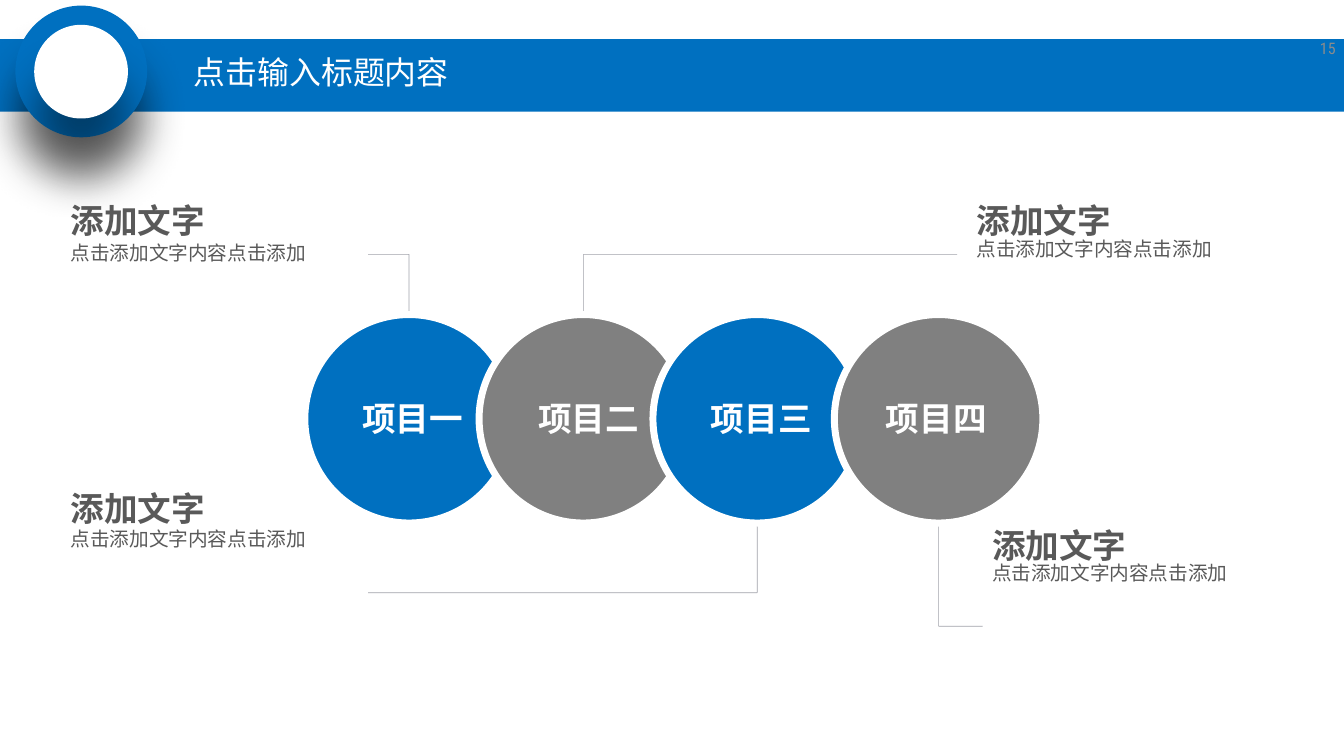
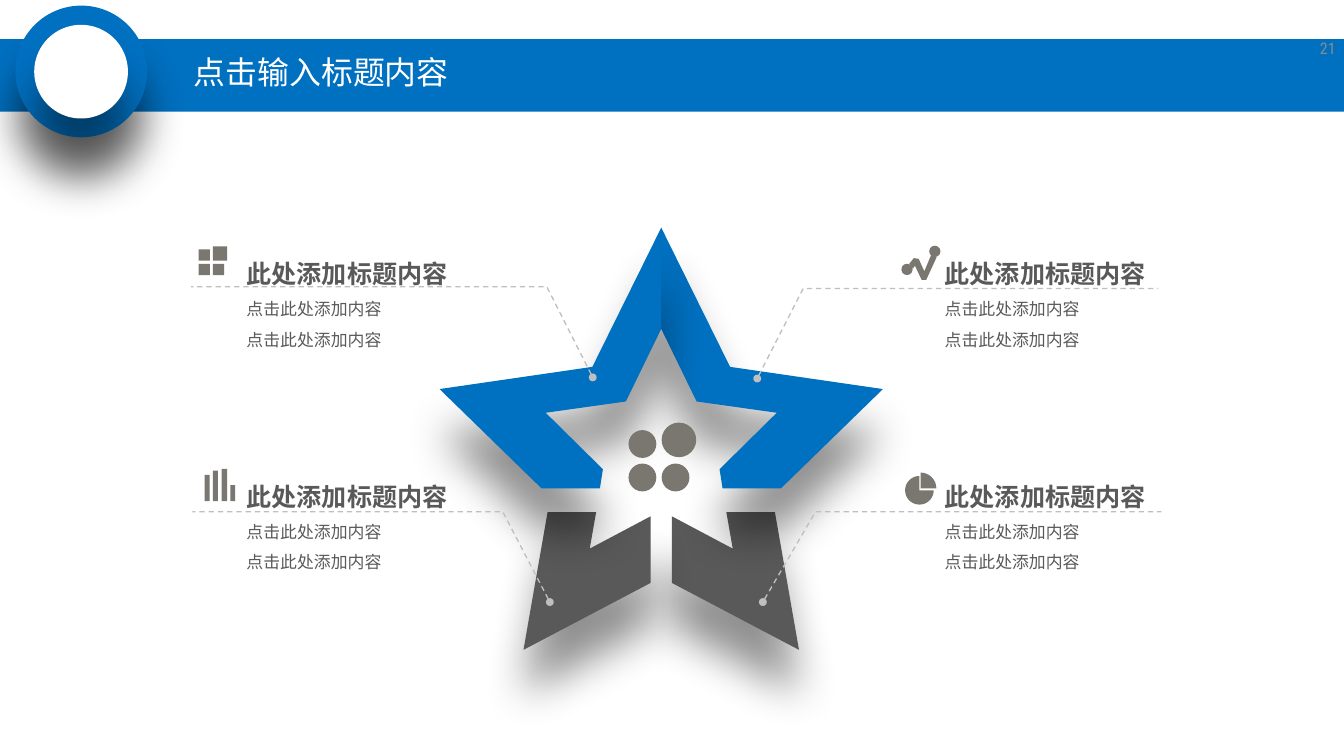
"""Build two slides: four linked project circles and a four-part star."""
import math

import pptx
import pptx.dml.color
import pptx.enum.dml
import pptx.enum.shapes
import pptx.enum.text
import pptx.oxml.ns
import pptx.util
from lxml import etree

Cm, Pt = pptx.util.Cm, pptx.util.Pt
qn = pptx.oxml.ns.qn
KIND = pptx.enum.shapes.MSO_SHAPE
ALIGN = pptx.enum.text.PP_ALIGN
MIDDLE = pptx.enum.text.MSO_ANCHOR.MIDDLE

FONT = "Roboto Condensed"
HEX = {
    "blue": "0070C0", "gray": "808080", "dark": "595959", "icon": "797770",
    "white": "FFFFFF", "page": "8C8C8C", "dash": "BFBFBF", "link": "414455",
    "black": "000000",
}
SIZE = 35.71, 20.09
TITLE = "点击输入标题内容"

HEAD, BODY = "添加文字", "点击添加文字内容点击添加"
NOTES = [(1.63, 4.75, 6.27), (1.63, 12.42, 13.89),
         (25.7, 4.75, 6.17), (26.11, 13.39, 14.78)]
TOP, DIAM = 8.36, 5.54
ITEMS = [
    ("项目一", "blue", 8.1, 9.37, 6.76, 9.78),
    ("项目二", "gray", 12.73, 14.05, 6.76, 25.43),
    ("项目三", "blue", 17.35, 18.64, 15.75, 9.78),
    ("项目四", "gray", 22.17, 23.29, 16.64, 26.11),
]

PARTS = ["此处添加标题内容", "点击此处添加内容", "点击此处添加内容"]
CARDS = [(x, y) for y in (6.35, 12.27) for x in (6.27, 24.82)]
AXIS = 17.57
LEG = [(0.28, 13.72), (0.28, 15.49), (3.66, 17.27),
       (3.02, 13.61), (1.73, 13.61), (1.9, 14.58)]
ARM = [(1.83, 9.75), (0, 6.05), (0, 8.74), (0.94, 10.67), (3.07, 10.97),
       (1.55, 12.47), (1.63, 12.98), (3.18, 12.98), (5.89, 10.34)]
LEADS = [
    [(15.75, 10.03), (14.53, 7.62), (5.08, 7.62)],
    [(14.61, 16), (13.36, 13.6), (5.11, 13.6)],
    [(20.12, 10.06), (21.34, 7.67), (30.78, 7.67)],
    [(20.27, 16), (21.67, 13.6), (30.86, 13.6)],
]
DOTS = [(16.7, 11.43, 0.74), (17.58, 11.23, 0.92), (16.7, 12.32, 0.74),
        (17.58, 12.32, 0.74), (24.69, 6.53, 0.3), (23.95, 7.01, 0.3)]
TILES = [(5.28, 6.63, 0.3), (5.66, 6.55, 0.38),
         (5.28, 7.01, 0.3), (5.66, 7.01, 0.3)]
BASE = 13.32
BARS = [(5.44, 0.13, 0.7), (5.66, 0.13, 0.81),
        (5.89, 0.15, 0.86), (6.12, 0.13, 0.43)]
TREND = [(24.74, 6.78), (24.56, 7.21), (24.41, 6.88), (24.28, 6.86),
         (24.16, 7.01), (24.26, 7.14), (24.31, 7.06), (24.49, 7.44),
         (24.61, 7.44), (24.89, 6.83)]
PIES = [(24.43, 13.03, 0.38, 0, 270), (24.46, 12.98, 0.42, 270, 360)]


def tone(name):
    return pptx.dml.color.RGBColor.from_string(HEX[name])


def style(shape, fill=None, line=None, width=1, shade=False):
    shape.shadow.inherit = False
    if fill:
        shape.fill.solid()
        shape.fill.fore_color.rgb = tone(fill)
    else:
        shape.fill.background()
    if line:
        shape.line.color.rgb = tone(line)
        shape.line.width = Pt(width)
    else:
        shape.line.fill.background()
    if shade:
        glow = etree.SubElement(
            shape.element.spPr.find(qn("a:effectLst")), qn("a:outerShdw"),
            blurRad=str(Pt(33)), dist=str(Pt(33)), dir="5400000",
            algn="ctr", rotWithShape="0")
        ink = etree.SubElement(glow, qn("a:srgbClr"), val=HEX["black"])
        etree.SubElement(ink, qn("a:alpha"), val="43000")
    return shape


def draw(slide, kind, x, y, w, h, **look):
    shape = slide.shapes.add_shape(kind, Cm(x), Cm(y), Cm(w), Cm(h))
    return style(shape, **look)


def trace(slide, points, close=True, **look):
    first, *rest = [(Cm(x), Cm(y)) for x, y in points]
    pen = slide.shapes.build_freeform(*first)
    pen.add_line_segments(rest, close=close)
    return style(pen.convert_to_shape(), **look)


def write(slide, lines, x, y, w, h, sizes, color="dark", bold=(False,),
          space=None, align=None, anchor=None, fill=None, side=0.25):
    box = slide.shapes.add_textbox(Cm(x), Cm(y), Cm(w), Cm(h))
    if fill:
        box.fill.solid()
        box.fill.fore_color.rgb = tone(fill)
    frame = box.text_frame
    frame.word_wrap = True
    frame.margin_left = frame.margin_right = Cm(side)
    if anchor is not None:
        frame.vertical_anchor = anchor
    frame.text = "\n".join(lines)
    for para, size, heavy in zip(frame.paragraphs, sizes, bold):
        para.alignment, para.line_spacing = align, space
        font = para.runs[0].font
        font.name, font.size, font.bold = FONT, Pt(size), heavy
        font.color.rgb = tone(color)


def link(slide, start, end):
    line = slide.shapes.add_connector(
        pptx.enum.shapes.MSO_CONNECTOR.STRAIGHT,
        *[Cm(n) for n in (*start, *end)])
    line.line.color.rgb = tone("link")
    line.line.width = Pt(0.5)
    props = line.element.spPr
    ink = props.find(".//" + qn("a:srgbClr"))
    etree.SubElement(ink, qn("a:alpha"), val="50000")
    etree.SubElement(props, qn("a:effectLst"))


def start(deck):
    slide = deck.slides.add_slide(deck.slide_layouts[6])
    draw(slide, KIND.RECTANGLE, 0, 1.04, SIZE[0], 1.93, fill="blue")
    for edge, top, size, fill in ((0.41, 0.15, 3.5, "blue"),
                                  (0.91, 0.66, 2.49, "white")):
        draw(slide, KIND.OVAL, edge, top, size, size, fill=fill, shade=True)
    return slide


def finish(slide, page):
    write(slide, [TITLE], 4.9, 1.27, 8.81, 1.4, [24], color="white",
          space=0.9, anchor=MIDDLE)
    write(slide, [page], 33.99, 0.74, 1.75, 1.07, [12], color="page",
          align=ALIGN.RIGHT, anchor=MIDDLE)


def chain(deck):
    slide = start(deck)
    for x, head, body in NOTES:
        write(slide, [HEAD], x, head, 8.15, 1.14, [25.3], bold=[True],
              space=1.4)
        write(slide, [BODY], x, body, 8.15, 3.5, [14.8])
    for name, fill, x, left, bend, end in ITEMS:
        mid = x + DIAM / 2
        edge = TOP if bend < TOP else TOP + DIAM
        link(slide, (mid, edge), (mid, bend))
        link(slide, (mid, bend), (end, bend))
    for name, fill, x, left, bend, end in ITEMS:
        draw(slide, KIND.OVAL, x, TOP, DIAM, DIAM, fill=fill,
             line="white", width=5.25)
        write(slide, [name], left, 10.44, 3.58, 1.65, [25.3],
              color="white", bold=[True], fill=fill)
    finish(slide, "15")


def star(deck):
    slide = start(deck)
    for half in (LEG, ARM):
        for sign in (1, -1):
            trace(slide, [(AXIS + sign * x, y) for x, y in half],
                  fill="dark", shade=True) if half is LEG else trace(
                slide, [(AXIS + sign * x, y) for x, y in half],
                fill="blue", shade=True)
    for x, y in CARDS:
        write(slide, PARTS, x, y, 6.73, 4.32, [18.9, 12.7, 12.7],
              bold=[True, False, False], space=1.5, align=ALIGN.JUSTIFY,
              side=0.28)
    for x, y, size in DOTS:
        draw(slide, KIND.OVAL, x, y, size, size, fill="icon")
    for x, y, size in TILES:
        draw(slide, KIND.RECTANGLE, x, y, size, size, fill="icon")
    for x, w, h in BARS:
        draw(slide, KIND.RECTANGLE, x, BASE - h, w, h, fill="icon")
    trace(slide, TREND, fill="icon")
    for x, y, r, low, high in PIES:
        turns = [math.radians(a) for a in range(low, high + 1, 10)]
        arc = [(x + r * math.cos(a), y + r * math.sin(a)) for a in turns]
        trace(slide, [(x, y)] + arc, fill="icon")
    for points in LEADS:
        lead = trace(slide, points, close=False, line="dash")
        lead.line.dash_style = pptx.enum.dml.MSO_LINE.DASH
        etree.SubElement(lead.element.spPr.find(qn("a:ln")),
                         qn("a:headEnd"), type="oval")
    finish(slide, "21")


def main():
    deck = pptx.Presentation()
    deck.slide_width, deck.slide_height = [Cm(n) for n in SIZE]
    chain(deck)
    star(deck)
    deck.save("out.pptx")


if __name__ == "__main__":
    main()
